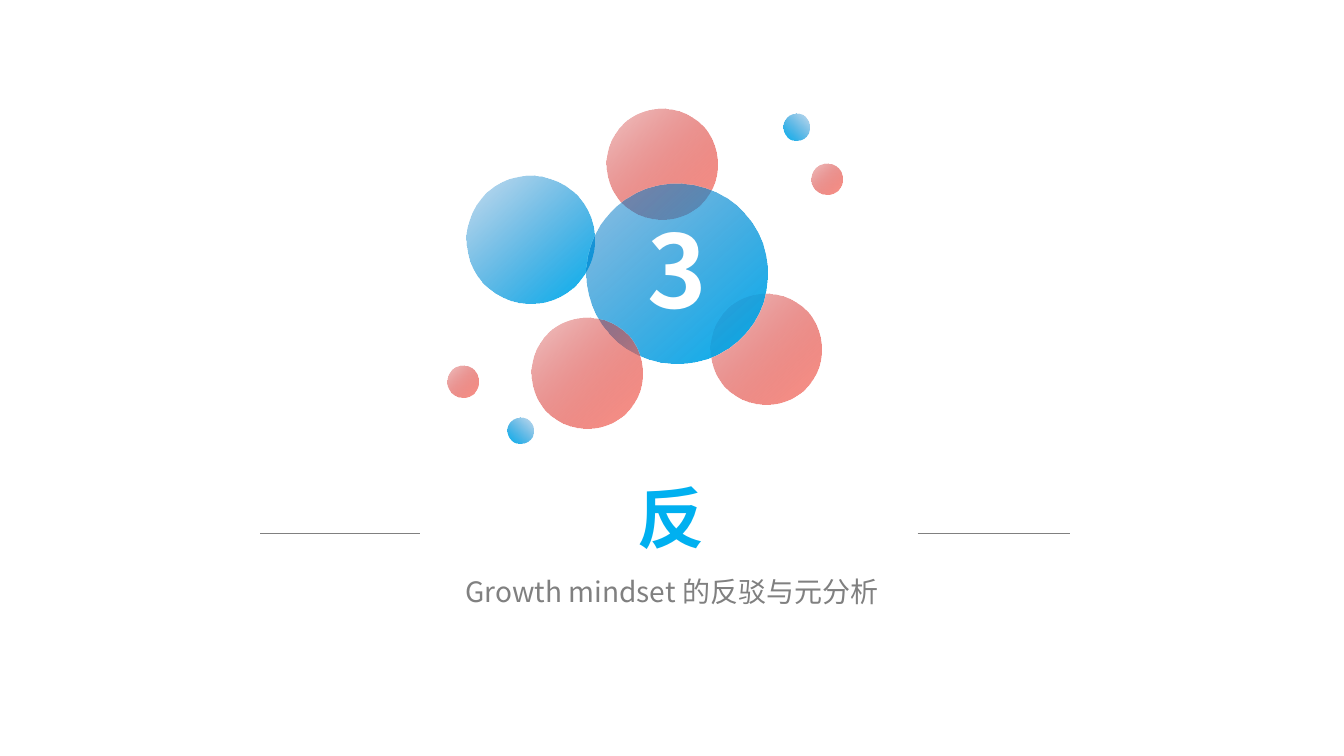
from lxml.etree import SubElement
from pptx import Presentation
from pptx.dml.color import RGBColor
from pptx.enum.shapes import MSO_CONNECTOR, MSO_SHAPE
from pptx.enum.text import MSO_ANCHOR, MSO_AUTO_SIZE, PP_ALIGN
from pptx.oxml import parse_xml
from pptx.oxml.ns import nsdecls, qn
from pptx.util import Inches, Pt

FONT = "Noto Sans CJK SC"
BLUE, CORAL, GREY, WHITE = "00B0F0", "FE978C", "808080", "FFFFFF"
PALE_START = {BLUE: "0070C0", CORAL: "C00000"}
LARGE, MEDIUM, SMALL, DOT, SPECK = 1.79, 1.27, 1.1, 0.31, 0.26

BUBBLES = [
    (1.58, 0, SMALL, CORAL),
    (2.61, 1.83, SMALL, CORAL),
    (0.19, 0.66, MEDIUM, BLUE),
    (1.38, 0.74, LARGE, BLUE),
    (3.33, 0.05, SPECK, BLUE),
    (3.61, 0.54, DOT, CORAL),
    (0.83, 2.07, SMALL, CORAL),
    (0.59, 3.06, SPECK, BLUE),
    (0, 2.55, DOT, CORAL),
]


def color(hex_value):
    """Turn a hex string into a colour."""
    return RGBColor.from_string(hex_value)


def place(part, left, top, width, height):
    """Move a part to a box given in inches."""
    part.left, part.top = Inches(left), Inches(top)
    part.width, part.height = Inches(width), Inches(height)


def write(part, words, size, hex_value, bold=False, spacing=None):
    """Fill a text part with one centred, formatted paragraph."""
    frame = part.text_frame
    frame.text = words
    frame.word_wrap = True
    frame.auto_size = MSO_AUTO_SIZE.NONE
    frame.vertical_anchor = MSO_ANCHOR.MIDDLE
    paragraph = frame.paragraphs[0]
    paragraph.alignment = PP_ALIGN.CENTER
    paragraph.space_before = Pt(0)
    for run in paragraph.runs:
        run.font.size, run.font.bold = Pt(size), bold
        run.font.color.rgb = color(hex_value)
        run.font.name = FONT
        properties = run.font._element
        SubElement(properties, qn("a:ea")).set("typeface", FONT)
        if spacing is not None:
            properties.set("spc", str(spacing * 100))


def add_bubble(slide, left, top, size, hex_value):
    """Draw one circle that fades from pale to full colour."""
    bubble = slide.shapes.add_shape(
        MSO_SHAPE.OVAL, Inches(left), Inches(top), Inches(size), Inches(size))
    bubble.shadow.inherit = False
    bubble.line.fill.background()
    bubble.rotation = 273
    if size == SPECK:
        bubble.rotation = 87
        bubble._element.spPr.find(qn("a:xfrm")).set("flipH", "1")
    opacity = 44 if size == LARGE else 22
    fade = parse_xml(
        f'<a:gradFill {nsdecls("a")} rotWithShape="1"><a:gsLst>'
        f'<a:gs pos="0"><a:srgbClr val="{PALE_START[hex_value]}">'
        f'<a:alpha val="{opacity * 1000}"/></a:srgbClr></a:gs>'
        f'<a:gs pos="100000"><a:srgbClr val="{hex_value}"/></a:gs>'
        f'</a:gsLst><a:lin ang="{135 * 60000}" scaled="0"/></a:gradFill>')
    bubble._element.spPr.find(qn("a:prstGeom")).addnext(fade)


def add_bubble_cluster(slide, left, top, number):
    """Draw the bubbles and the section number over the largest one."""
    for across, down, size, hex_value in BUBBLES:
        add_bubble(slide, left + across, top + down, size, hex_value)
    label = slide.shapes.add_textbox(
        Inches(left + 0.29), Inches(top + 0.93), Inches(3.98), Inches(1.31))
    write(label, number, 72, WHITE, bold=True, spacing=-3)


def add_rule(slide, left, right, height):
    """Draw a thin horizontal rule."""
    rule = slide.shapes.add_connector(
        MSO_CONNECTOR.STRAIGHT,
        Inches(left), Inches(height), Inches(right), Inches(height))
    rule.line.color.rgb = color(GREY)
    rule.line.width = Pt(0.75)
    SubElement(rule._element.spPr, qn("a:effectLst"))


def add_heading(slide, left, top, width, heading, subheading):
    """Set the heading between two rules, with the subheading below."""
    title, subtitle = slide.shapes.title, slide.placeholders[1]
    place(title, left + 2.42, top, 5.62, 0.91)
    write(title, heading, 48, BLUE, bold=True)
    place(subtitle, left, top + 0.98, width, 0.44)
    write(subtitle, subheading, 20, GREY)
    for start, end in ((1.15, 2.74), (7.67, 9.18)):
        add_rule(slide, left + start, left + end, top + 0.62)


def main():
    """Build the section slide and save it."""
    deck = Presentation()
    deck.slide_width, deck.slide_height = Inches(13.33), Inches(7.5)
    slide = deck.slides.add_slide(deck.slide_layouts[0])
    add_bubble_cluster(slide, 4.44, 1.08, "3")
    add_heading(slide, 1.43, 4.67, 10.47, "反", "Growth mindset 的反驳与元分析")
    deck.save("out.pptx")


if __name__ == "__main__":
    main()
